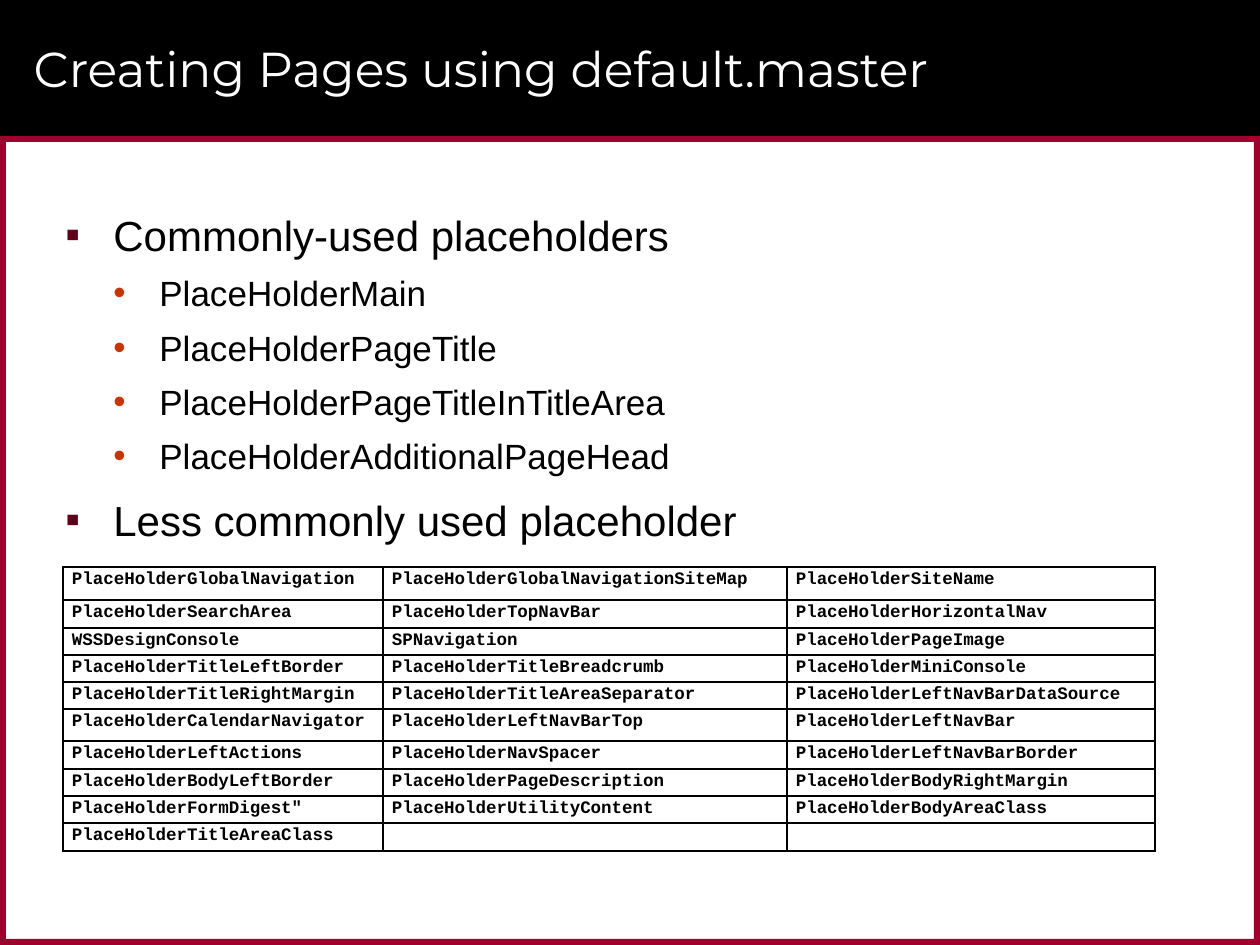
from itertools import pairwise

from lxml import etree
from pptx import Presentation
from pptx import util as u
from pptx.dml.color import RGBColor
from pptx.enum import shapes, text
from pptx.oxml import ns

PX = 914400 // 126
BLACK = RGBColor(0x00, 0x00, 0x00)
WHITE = RGBColor(0xFF, 0xFF, 0xFF)
CRIMSON = RGBColor(0x9F, 0x00, 0x2D)
MAROON = RGBColor(0x60, 0x00, 0x1B)
ORANGE = RGBColor(0xCC, 0x33, 0x00)

TITLE_FONT = {"name": "Montserrat", "size": u.Pt(28), "bold": False}
CELL_FONT = {"name": "Courier New", "size": u.Pt(10), "bold": True}

# Outline levels: indents in px, spacing in points
LEVELS = [
    {"font": {"name": "Arial", "size": u.Pt(24)}, "bullet": "▪",
     "color": MAROON, "left": 48, "hang": 48, "before": 7, "after": 3},
    {"font": {"name": "Arial", "size": u.Pt(20)}, "bullet": "•",
     "color": ORANGE, "left": 94, "hang": 46, "before": 4, "after": 3},
]
OUTLINE = [
    (0, "Commonly-used placeholders"),
    (1, "PlaceHolderMain"),
    (1, "PlaceHolderPageTitle"),
    (1, "PlaceHolderPageTitleInTitleArea"),
    (1, "PlaceHolderAdditionalPageHead"),
    (0, "Less commonly used placeholder"),
]

COLUMN_EDGES = [0, 320, 724, 1092]
ROW_EDGES = [0, 33, 61, 88, 115, 142, 174, 202, 229, 256, 284]
PLACEHOLDERS = [
    ["PlaceHolderGlobalNavigation", "PlaceHolderGlobalNavigationSiteMap",
     "PlaceHolderSiteName"],
    ["PlaceHolderSearchArea", "PlaceHolderTopNavBar", "PlaceHolderHorizontalNav"],
    ["WSSDesignConsole", "SPNavigation", "PlaceHolderPageImage"],
    ["PlaceHolderTitleLeftBorder", "PlaceHolderTitleBreadcrumb",
     "PlaceHolderMiniConsole"],
    ["PlaceHolderTitleRightMargin", "PlaceHolderTitleAreaSeparator",
     "PlaceHolderLeftNavBarDataSource"],
    ["PlaceHolderCalendarNavigator", "PlaceHolderLeftNavBarTop",
     "PlaceHolderLeftNavBar"],
    ["PlaceHolderLeftActions", "PlaceHolderNavSpacer", "PlaceHolderLeftNavBarBorder"],
    ["PlaceHolderBodyLeftBorder", "PlaceHolderPageDescription",
     "PlaceHolderBodyRightMargin"],
    ['PlaceHolderFormDigest"', "PlaceHolderUtilityContent",
     "PlaceHolderBodyAreaClass"],
    ["PlaceHolderTitleAreaClass", "", ""],
]


def emu(*lengths):
    return [u.Emu(length * PX) for length in lengths]


def set_all(target, values):
    for name, value in values.items():
        setattr(target, name, value)


def add_child(parent, tag, **attributes):
    return etree.SubElement(parent, ns.qn(tag), attributes)


def add_color(parent, color):
    add_child(add_child(parent, "a:solidFill"), "a:srgbClr", val=str(color))


def add_bar(page, color, *box):
    bar = page.shapes.add_shape(shapes.MSO_SHAPE.RECTANGLE, *emu(*box))
    bar.shadow.inherit = False
    bar.fill.solid()
    bar.fill.fore_color.rgb = color
    bar.line.fill.background()


def add_frame(page, left, top, width, height, edge=6):
    """Header band above a bordered content area."""
    header = 136
    add_bar(page, BLACK, left, top, width, header)
    side_height = height - header
    for box in [
        (left, top + header, width, edge),
        (left, top + height - edge, width, edge),
        (left + width - edge, top + header, edge, side_height),
        (left, top + header, edge, side_height),
    ]:
        add_bar(page, CRIMSON, *box)


def place_title(page, wording, *box):
    title = page.shapes.title
    set_all(title, dict(zip(("left", "top", "width", "height"), emu(*box))))
    # Lift the title above the header band
    tree = title.element.getparent()
    tree.remove(title.element)
    tree.append(title.element)
    frame = title.text_frame
    frame.vertical_anchor = text.MSO_ANCHOR.MIDDLE
    para = frame.paragraphs[0]
    para.alignment = text.PP_ALIGN.LEFT
    span = para.add_run()
    span.text = wording
    set_all(span.font, TITLE_FONT)
    span.font.color.rgb = WHITE


def add_outline(page, *box):
    frame = page.shapes.add_textbox(*emu(*box)).text_frame
    frame.word_wrap = True
    for index, (depth, wording) in enumerate(OUTLINE):
        level = LEVELS[depth]
        para = frame.add_paragraph() if index else frame.paragraphs[0]
        para.level = depth
        para.space_before = u.Pt(level["before"] if index else 0)
        para.space_after = u.Pt(level["after"])
        # Bullet and hanging indent
        properties = para._p.get_or_add_pPr()
        properties.set("marL", str(level["left"] * PX))
        properties.set("indent", str(-level["hang"] * PX))
        bullet_color = add_child(properties, "a:buClr")
        add_child(bullet_color, "a:srgbClr", val=str(level["color"]))
        add_child(properties, "a:buFont", typeface="Arial")
        add_child(properties, "a:buChar", char=level["bullet"])
        span = para.add_run()
        span.text = wording
        set_all(span.font, level["font"])
        span.font.color.rgb = BLACK


def format_cell(cell, wording):
    margin = 9 * PX
    set_all(cell, {"margin_left": margin, "margin_right": margin,
                   "margin_top": 0, "margin_bottom": 0})
    para = cell.text_frame.paragraphs[0]
    para.line_spacing = 1.15
    if wording:
        span = para.add_run()
        span.text = wording
        set_all(span.font, CELL_FONT)
        span.font.color.rgb = BLACK
    else:
        # Keep empty rows as low as the filled ones
        add_child(para._p, "a:endParaRPr", sz="1000")
    # Borders come before the fill in the cell properties
    properties = cell._tc.get_or_add_tcPr()
    for side in ("a:lnL", "a:lnR", "a:lnT", "a:lnB"):
        add_color(add_child(properties, side, w=str(u.Pt(1))), BLACK)
    cell.fill.background()


def add_placeholder_table(page, left, top):
    box = emu(left, top, COLUMN_EDGES[-1], ROW_EDGES[-1])
    table = page.shapes.add_table(len(PLACEHOLDERS), 3, *box).table
    set_all(table, {"first_row": False, "horz_banding": False})
    for column, (start, end) in zip(table.columns, pairwise(COLUMN_EDGES)):
        column.width = u.Emu((end - start) * PX)
    for row, (start, end), names in zip(table.rows, pairwise(ROW_EDGES), PLACEHOLDERS):
        row.height = u.Emu((end - start) * PX)
        for cell, name in zip(row.cells, names):
            format_cell(cell, name)


def main():
    deck = Presentation()
    deck.slide_width, deck.slide_height = u.Inches(10), u.Inches(7.5)
    page = deck.slides.add_slide(deck.slide_layouts[5])
    add_frame(page, 0, 0, 1260, 945)
    place_title(page, "Creating Pages using default.master", 21, 10, 1187, 116)
    add_outline(page, 53, 203, 1155, 710)
    add_placeholder_table(page, 63, 567)
    deck.save("out.pptx")


if __name__ == "__main__":
    main()
